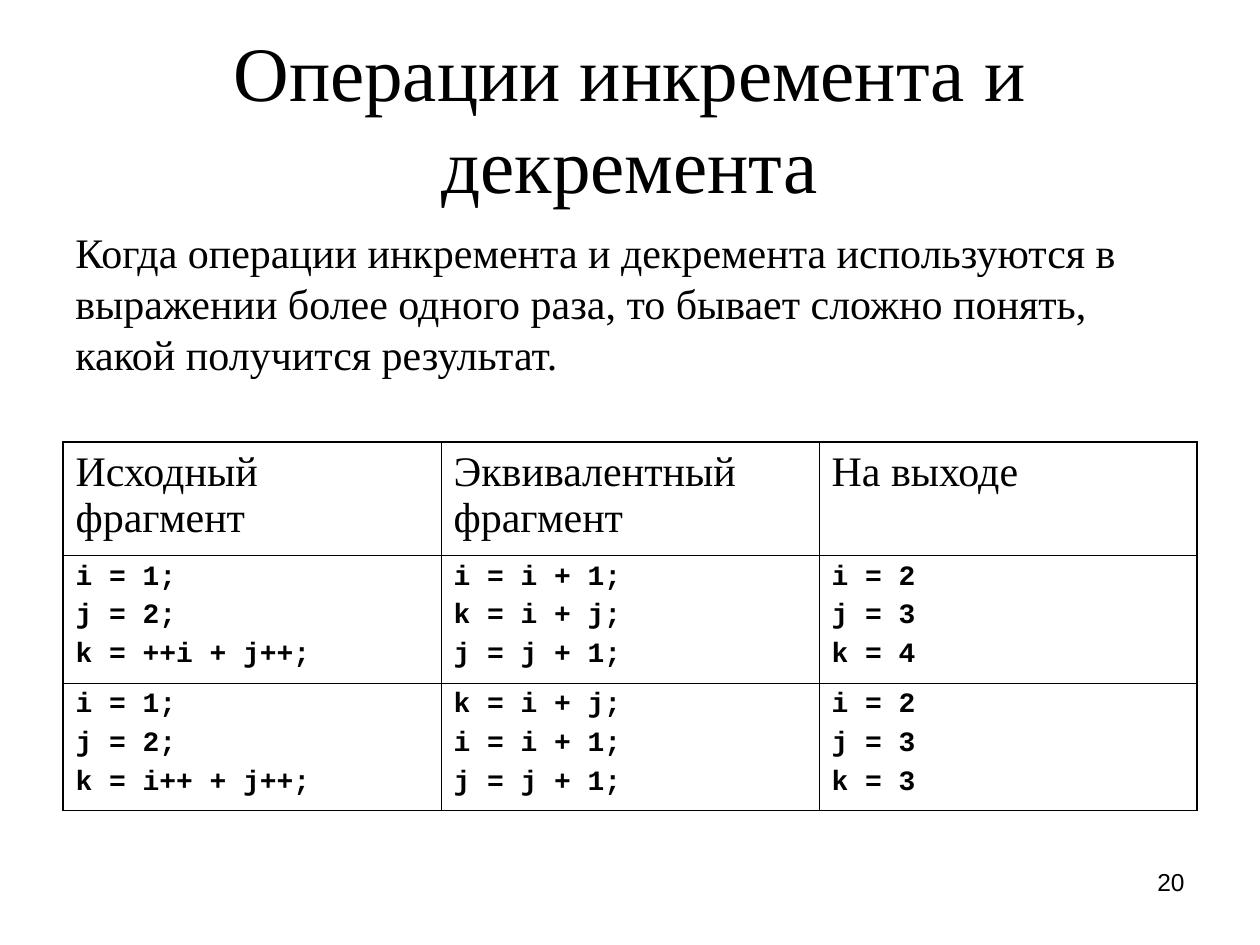
import pptx
import pptx.dml.color
import pptx.enum.text
import pptx.util
from lxml import etree
from pptx.oxml.ns import qn

Inches, Pt = pptx.util.Inches, pptx.util.Pt
Align = pptx.enum.text.PP_ALIGN
Anchor = pptx.enum.text.MSO_ANCHOR


def color(code):
    return pptx.dml.color.RGBColor.from_string(code)


class Page:
    ink = "000000"
    serif, sans, mono = "Times New Roman", "Arial", "Courier New"
    thin, thick = 0.45, 1.08

    def __init__(self, deck):
        self.slide = deck.slides.add_slide(deck.slide_layouts[6])

    def style(self, frame, text, font, size, bold=False,
              align=Align.LEFT, pitch=None, gap=0):
        """Fill a frame; pitch is the line height and gap the space between lines."""
        frame.word_wrap = True
        frame.text = text
        for i, para in enumerate(frame.paragraphs):
            para.alignment = align
            para.space_before = Pt(gap if i else 0)
            if pitch:
                para.line_spacing = Pt(pitch)
            for run in para.runs:
                run.font.name = font
                run.font.size = Pt(size)
                run.font.bold = bold
                run.font.color.rgb = color(self.ink)

    def text(self, area, text, font, size, anchor=Anchor.TOP, **look):
        box = self.slide.shapes.add_textbox(*map(Inches, area))
        box.text_frame.vertical_anchor = anchor
        self.style(box.text_frame, text, font, size, **look)

    def border(self, cell, sides):
        """Draw cell borders from a mapping of side letter to width in points."""
        props = cell._tc.get_or_add_tcPr()
        for i, (side, width) in enumerate(sides.items()):
            line = etree.Element(qn("a:ln" + side), w=str(Pt(width)))
            fill = etree.SubElement(line, qn("a:solidFill"))
            etree.SubElement(fill, qn("a:srgbClr"), val=self.ink)
            props.insert(i, line)

    def table(self, area, rows, heights):
        last, end = len(rows) - 1, len(rows[0]) - 1
        shape = self.slide.shapes.add_table(
            last + 1, end + 1, *map(Inches, area))
        grid = shape.table
        grid.first_row = grid.horz_banding = False
        for r, row in enumerate(rows):
            grid.rows[r].height = Inches(heights[r])
            for c, text in enumerate(row):
                cell = grid.cell(r, c)
                cell.margin_left = cell.margin_right = Inches(0.1)
                cell.margin_top = cell.margin_bottom = Inches(0.05)
                cell.fill.background()
                if r == 0:
                    self.style(cell.text_frame, text, self.serif, 24, pitch=26.6)
                else:
                    self.style(cell.text_frame, text, self.mono, 16,
                               bold=True, gap=4)
                outer = {"L": c == 0, "R": c == end, "T": r == 0, "B": r == last}
                self.border(cell, {side: self.thick if edge else self.thin
                                   for side, edge in outer.items()})


def main():
    deck = pptx.Presentation()
    deck.slide_width, deck.slide_height = Inches(10), Inches(7.5)
    page = Page(deck)
    page.text((0.5, 0.3, 9, 1.25), "Операции инкремента и декремента",
              page.serif, 44, Anchor.MIDDLE, align=Align.CENTER, pitch=52.6)
    page.text((0.5, 1.75, 9, 1.45),
              "Когда операции инкремента и декремента используются в выражении "
              "более одного раза, то бывает сложно понять, какой получится "
              "результат.", page.serif, 24, pitch=28.9)
    page.table((0.5, 3.51, 9, 2.92), [
        ("Исходный фрагмент", "Эквивалентный фрагмент", "На выходе"),
        ("i = 1;\nj = 2;\nk = ++i + j++;",
         "i = i + 1;\nk = i + j;\nj = j + 1;",
         "i = 2\nj = 3\nk = 4"),
        ("i = 1;\nj = 2;\nk = i++ + j++;",
         "k = i + j;\ni = i + 1;\nj = j + 1;",
         "i = 2\nj = 3\nk = 3"),
    ], (0.9, 1.01, 1.01))
    page.text((7.17, 6.83, 2.33, 0.52), "20", page.sans, 14, align=Align.RIGHT)
    deck.save("out.pptx")


if __name__ == "__main__":
    main()
